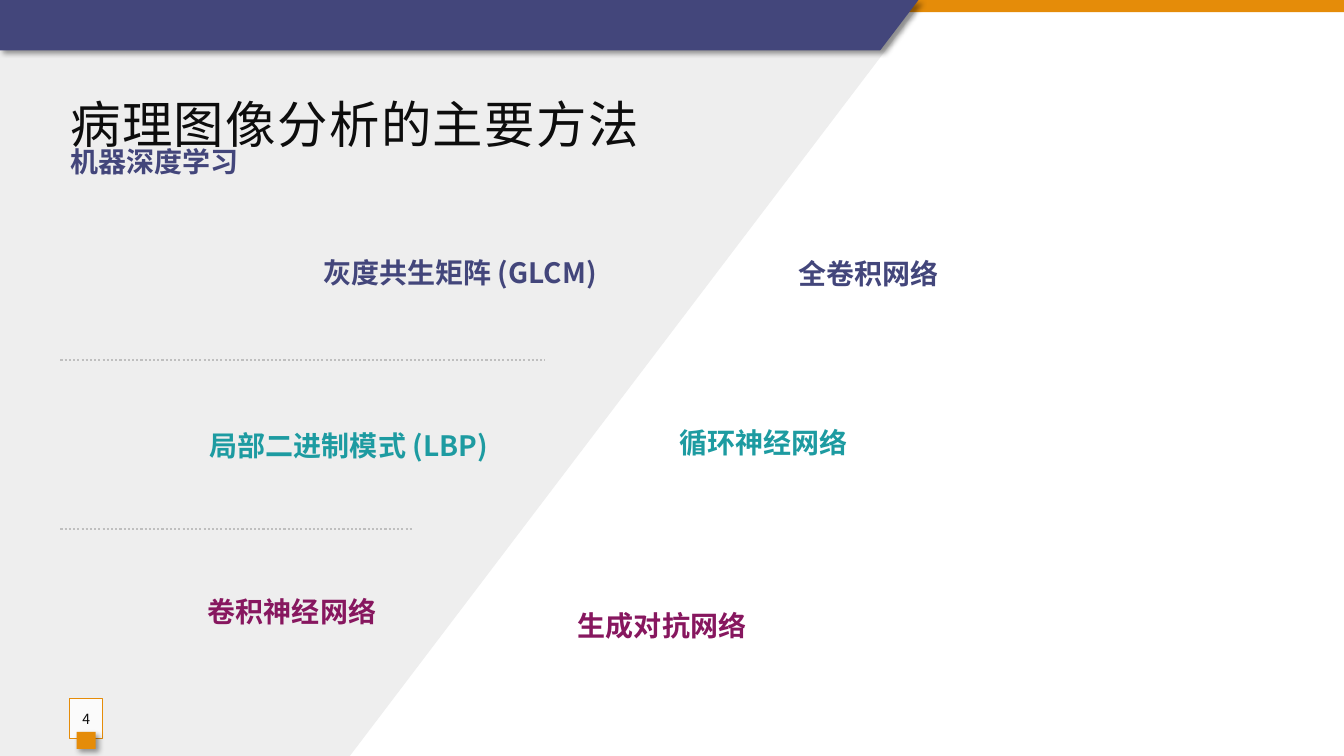
from dataclasses import dataclass

from lxml import etree
from pptx import Presentation
from pptx import util as u
from pptx.dml.color import RGBColor
from pptx.enum import dml, shapes, text
from pptx.oxml import ns


@dataclass(frozen=True)
class Theme:
    font: str = "Noto Sans CJK SC"
    navy: str = "43467B"
    teal: str = "1D9BA1"
    plum: str = "87175F"
    orange: str = "E58C09"
    panel: str = "EEEEEE"
    rule: str = "BFBFBF"
    white: str = "FFFFFF"
    ink: str = "0D0D0D"
    title_size: int = 36
    label_size: int = 20
    number_size: int = 10


class MethodSlide:
    def __init__(self, slide, theme):
        self.slide = slide
        self.theme = theme

    def child(self, parent, tag, **attributes):
        element = etree.SubElement(parent, ns.qn(tag))
        for key, value in attributes.items():
            element.set(key, str(value))
        return element

    def paint(self, shape, fill, line=None, shadow=False, opacity=None):
        shape.shadow.inherit = False
        shape.fill.solid()
        shape.fill.fore_color.rgb = RGBColor.from_string(fill)
        if opacity:
            color = shape.fill._xPr.find(ns.qn("a:solidFill"))[0]
            self.child(color, "a:alpha", val=opacity * 1000)
        if line:
            shape.line.color.rgb = RGBColor.from_string(line)
            shape.line.width = u.Pt(0.75)
        else:
            shape.line.fill.background()
        if shadow:
            effects = shape._element.spPr.find(ns.qn("a:effectLst"))
            outer = self.child(effects, "a:outerShdw", blurRad=u.Pt(4), dist=u.Pt(3),
                               dir=45 * 60000, algn="tl", rotWithShape=0)
            color = self.child(outer, "a:srgbClr", val="000000")
            self.child(color, "a:alpha", val=40000)
        return shape

    def polygon(self, points, fill, shadow=False):
        corners = [(u.Inches(x), u.Inches(y)) for x, y in points]
        builder = self.slide.shapes.build_freeform(*corners[0])
        builder.add_line_segments(corners[1:], close=True)
        return self.paint(builder.convert_to_shape(), fill, shadow=shadow)

    def rect(self, box, fill, **style):
        shape = self.slide.shapes.add_shape(
            shapes.MSO_SHAPE.RECTANGLE, *map(u.Inches, box))
        return self.paint(shape, fill, **style)

    def run(self, paragraph, words, size, color, bold=False, spacing=0):
        run = paragraph.add_run()
        run.text = words
        run.font.size = u.Pt(size)
        run.font.bold = bold
        run.font.name = self.theme.font
        run.font.color.rgb = RGBColor.from_string(color)
        properties = run._r.get_or_add_rPr()
        properties.set("spc", str(spacing * 100))
        self.child(properties, "a:ea", typeface=self.theme.font)

    def text_frame(self, box):
        frame = self.slide.shapes.add_textbox(*map(u.Inches, box)).text_frame
        frame.word_wrap = True
        return frame

    def title(self, box, heading, subheading):
        frame = self.text_frame(box)
        frame.margin_top = u.Inches(0.16)
        paragraph = frame.paragraphs[0]
        paragraph.line_spacing = 0.75
        self.run(paragraph, heading, self.theme.title_size, self.theme.ink, spacing=1)
        paragraph.add_line_break()
        self.run(paragraph, subheading, self.theme.label_size, self.theme.navy, bold=True)

    def label(self, box, words, color, align):
        frame = self.text_frame(box)
        frame.vertical_anchor = text.MSO_ANCHOR.MIDDLE
        paragraph = frame.paragraphs[0]
        paragraph.alignment = align
        paragraph.line_spacing = 0.9
        self.run(paragraph, words, self.theme.label_size, color, bold=True)

    def page_number(self, box, number):
        frame = self.rect(box, self.theme.white, line=self.theme.orange, opacity=82).text_frame
        frame.margin_left = frame.margin_right = 0
        frame.vertical_anchor = text.MSO_ANCHOR.MIDDLE
        paragraph = frame.paragraphs[0]
        paragraph.alignment = text.PP_ALIGN.CENTER
        self.run(paragraph, number, self.theme.number_size, self.theme.ink)

    def divider(self, left, right, y):
        rule = self.slide.shapes.add_connector(
            shapes.MSO_CONNECTOR.STRAIGHT, *map(u.Inches, (left, y, right, y)))
        rule.line.color.rgb = RGBColor.from_string(self.theme.rule)
        rule.line.width = u.Pt(1.5)
        rule.line.dash_style = dml.MSO_LINE.ROUND_DOT
        self.child(rule._element.spPr, "a:effectLst")


def main():
    deck = Presentation()
    deck.slide_width = u.Inches(13.33)
    deck.slide_height = u.Inches(7.5)
    theme = Theme()
    page = MethodSlide(deck.slides.add_slide(deck.slide_layouts[6]), theme)

    page.polygon([(0, 0), (9.11, 0), (9.11, 0.07), (3.47, 7.5), (0, 7.5)], theme.panel)
    page.rect((0, 0, 13.33, 0.12), theme.orange)
    page.polygon([(0, 0), (9.11, 0), (8.73, 0.5), (0, 0.5)], theme.navy, shadow=True)

    page.title((0.6, 0.9, 11.82, 1.4), "病理图像分析的主要方法 ", "机器深度学习")

    left, right = text.PP_ALIGN.LEFT, text.PP_ALIGN.RIGHT
    methods = [
        ((7.82, 2.23, 4.72, 1), "全卷积网络", theme.navy, left),
        ((0.68, 2.49, 5.4, 0.46), "灰度共生矩阵 (GLCM) ", theme.navy, right),
        ((6.64, 3.91, 5.9, 1), "循环神经网络", theme.teal, left),
        ((0.6, 4.21, 4.4, 0.46), "局部二进制模式 (LBP) ", theme.teal, right),
        ((5.53, 5.72, 1.97, 1), "生成对抗网络", theme.plum, right),
        ((0.6, 5.86, 3.23, 0.46), "卷积神经网络", theme.plum, right),
    ]
    for method in methods:
        page.label(*method)

    page.page_number((0.69, 6.93, 0.33, 0.4), "4")
    page.rect((0.76, 7.26, 0.19, 0.17), theme.orange, shadow=True)

    for end, y in [(5.4, 3.57), (4.1, 5.25)]:
        page.divider(0.6, end, y)

    deck.save("out.pptx")


if __name__ == "__main__":
    main()
